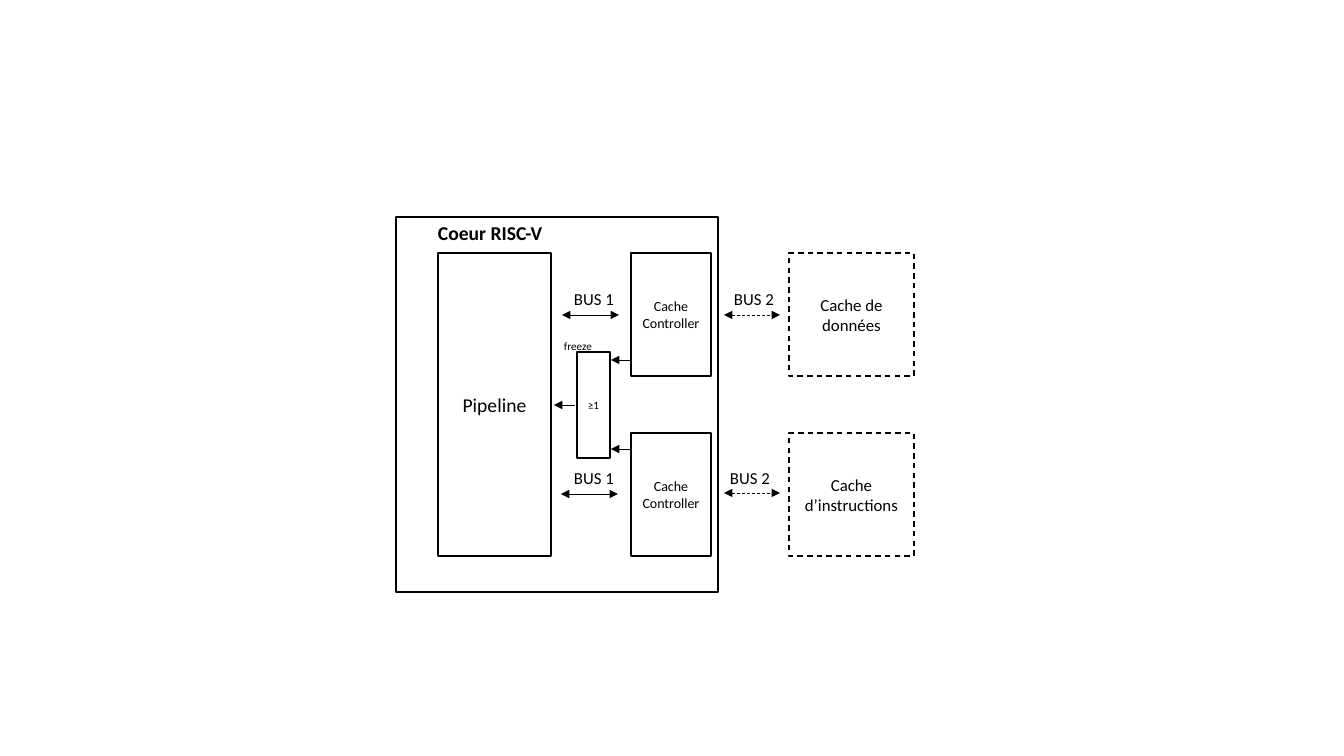
import pptx
import pptx.util
import pptx.dml.color
import pptx.enum.dml
import pptx.enum.shapes
import pptx.enum.text
import pptx.oxml.ns
import lxml.etree

PX = 9525 * 96 / 100.8
BLACK = pptx.dml.color.RGBColor(0, 0, 0)
DASH = pptx.enum.dml.MSO_LINE.DASH

deck = pptx.Presentation()
deck.slide_width, deck.slide_height = round(1344 * PX), round(756 * PX)
slide = deck.slides.add_slide(deck.slide_layouts[6])
shapes = slide.shapes


def write(shape, text, size, bold=False):
    frame = shape.text_frame
    frame.word_wrap = True
    run = frame.paragraphs[0].add_run()
    run.text = text
    run.font.name = "Calibri"
    run.font.size = pptx.util.Pt(size)
    run.font.bold = bold
    run.font.color.rgb = BLACK


def stroke(shape, width, dashed=False):
    shape.line.color.rgb = BLACK
    shape.line.width = pptx.util.Pt(width)
    if dashed:
        shape.line.dash_style = DASH


# Blocks: the core frame, the pipeline, the OR gate, then both cache rows
blocks = [
    (396, 217, 322, 375, "", 14, 2, False),
    (438, 253, 113, 303, "Pipeline", 14, 1, False),
    (577, 352, 33, 106, "≥1", 8, 1, False),
]
for top, cache in ((253, "Cache de données"), (433, "Cache d’instructions")):
    blocks.append((631, top, 80, 123, "Cache Controller", 10, 1, False))
    blocks.append((789, top, 125, 123, cache, 12, 1, True))

for left, top, wide, high, text, size, width, dashed in blocks:
    box = shapes.add_shape(
        pptx.enum.shapes.MSO_SHAPE.RECTANGLE,
        *[round(n * PX) for n in (left, top, wide, high)])
    box.shadow.inherit = False
    box.fill.background()
    stroke(box, width, dashed)
    if text:
        box.text_frame.vertical_anchor = pptx.enum.text.MSO_ANCHOR.MIDDLE
        box.text_frame.paragraphs[0].alignment = pptx.enum.text.PP_ALIGN.CENTER
        write(box, text, size)

# Arrows: start, end, height, dashed, heads at both ends
arrows = [
    (562, 619, 315, False, True),
    (561, 618, 494, False, True),
    (724, 780, 315, True, True),
    (724, 780, 493, True, True),
    (575, 554, 405, False, False),
    (631, 611, 360, False, False),
    (631, 611, 449, False, False),
]
for start, end, y, dashed, both in arrows:
    arrow = shapes.add_connector(
        pptx.enum.shapes.MSO_CONNECTOR.STRAIGHT,
        *[round(n * PX) for n in (start, y, end, y)])
    stroke(arrow, 0.5, dashed)
    line = arrow.line._get_or_add_ln()
    for tag in ("a:headEnd", "a:tailEnd") if both else ("a:tailEnd",):
        tip = lxml.etree.SubElement(line, pptx.oxml.ns.qn(tag))
        tip.set("type", "triangle")
    lxml.etree.SubElement(
        arrow._element.spPr, pptx.oxml.ns.qn("a:effectLst"))

# Labels
labels = [
    (428, 216, 167, 34, "Coeur RISC-V", 14, True),
    (564, 284, 64, 30, "BUS 1", 12, False),
    (564, 463, 64, 30, "BUS 1", 12, False),
    (724, 284, 64, 30, "BUS 2", 12, False),
    (720, 463, 64, 30, "BUS 2", 12, False),
    (554, 334, 53, 24, "freeze", 8, False),
]
for left, top, wide, high, text, size, bold in labels:
    label = shapes.add_textbox(
        *[round(n * PX) for n in (left, top, wide, high)])
    write(label, text, size, bold)

deck.save("out.pptx")
